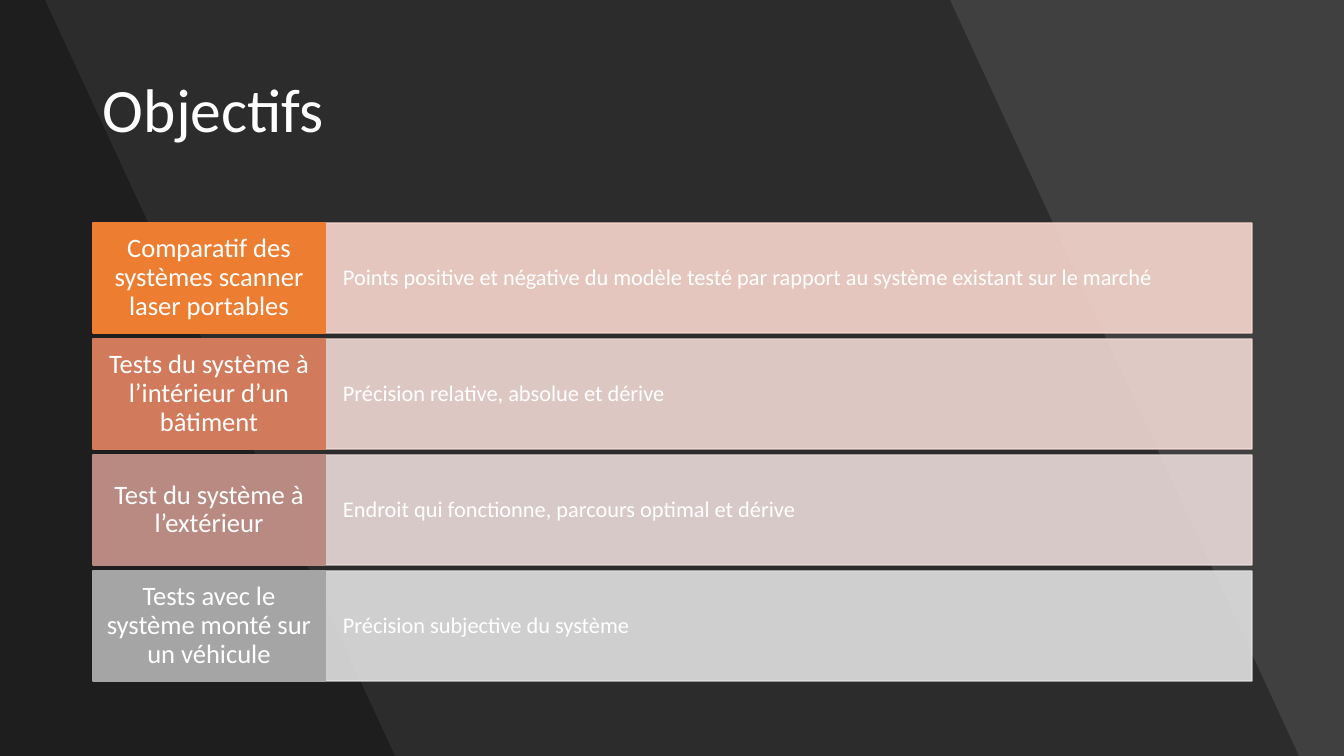
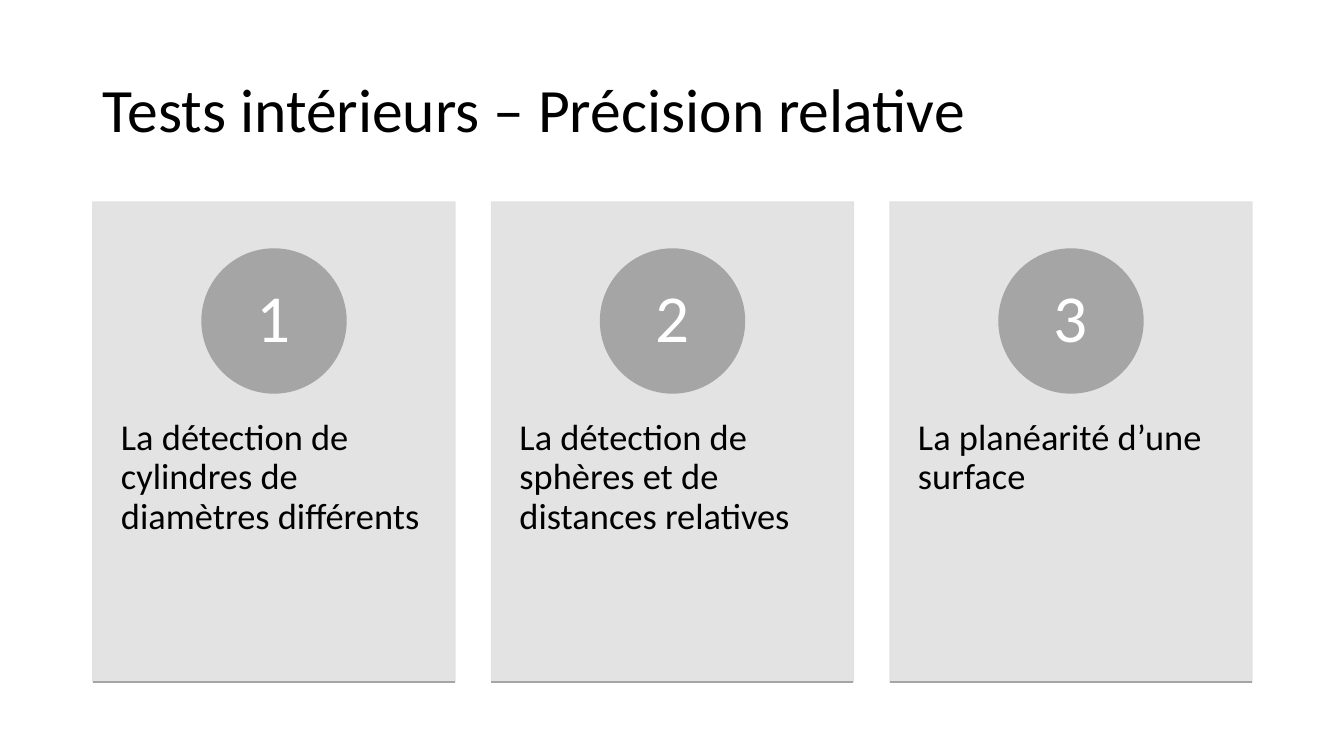
from pptx import Presentation
from pptx.dml.color import RGBColor
from pptx.enum.shapes import MSO_CONNECTOR, MSO_SHAPE
from pptx.enum.text import MSO_ANCHOR, PP_ALIGN
from pptx.oxml.ns import qn
from pptx.util import Pt
from lxml import etree

RECT, OVAL = MSO_SHAPE.RECTANGLE, MSO_SHAPE.OVAL
LEFT, CENTER = PP_ALIGN.LEFT, PP_ALIGN.CENTER
TOP, MIDDLE = MSO_ANCHOR.TOP, MSO_ANCHOR.MIDDLE
STRAIGHT = MSO_CONNECTOR.STRAIGHT

SLIDE_W, SLIDE_H = 1344, 756
PX = 12192000 / SLIDE_W
FONT = "Calibri"
COLORS = {
    "white": "FFFFFF",
    "black": "000000",
    "charcoal": "404040",
    "gray": "A5A5A5",
    "light_gray": "E1E1E1",
    "orange": "ED7D31",
    "light_orange": "F8D7CE",
    "terracotta": "D17B5C",
    "light_terracotta": "F1D8D4",
    "rose": "B98A82",
    "light_rose": "E9DBDA",
}
MARGIN = 93
CONTENT_W = 1159


def paint(shape, color, opacity=100, outlined=True):
    rgb = RGBColor.from_string(COLORS[color])
    shape.shadow.inherit = False
    shape.fill.solid()
    shape.fill.fore_color.rgb = rgb
    if outlined:
        shape.line.color.rgb = rgb
        shape.line.width = Pt(1)
    else:
        shape.line.fill.background()
    if opacity < 100:
        for tint in shape._element.spPr.iter(qn("a:srgbClr")):
            etree.SubElement(tint, qn("a:alpha"), val=str(opacity * 1000))


def write(shape, text, size, color, insets, align=LEFT, anchor=MIDDLE):
    frame = shape.text_frame
    frame.word_wrap = True
    frame.vertical_anchor = anchor
    side, top, bottom = (round(inset * PX) for inset in insets)
    frame.margin_left = frame.margin_right = side
    frame.margin_top, frame.margin_bottom = top, bottom
    paragraph = frame.paragraphs[0]
    paragraph.text = text
    paragraph.alignment = align
    paragraph.line_spacing = 0.9
    font = paragraph.runs[0].font
    font.name = FONT
    font.size = Pt(size)
    font.color.rgb = RGBColor.from_string(COLORS[color])


prs = Presentation()
prs.slide_width = round(SLIDE_W * PX)
prs.slide_height = round(SLIDE_H * PX)

slides = []
for heading, background, ink in [
    ("Objectifs", "charcoal", "white"),
    ("Tests intérieurs – Précision relative", "white", "black"),
]:
    slide = prs.slides.add_slide(prs.slide_layouts[6])
    slide.background.fill.solid()
    slide.background.fill.fore_color.rgb = RGBColor.from_string(COLORS[background])
    if background == "charcoal":
        for top_edge, bottom_edge in [(950, 1299), (45, 395)]:
            outline = slide.shapes.build_freeform(0, 0, scale=PX)
            outline.add_line_segments(
                [(top_edge, 0), (bottom_edge, SLIDE_H), (0, SLIDE_H)], close=True
            )
            paint(outline.convert_to_shape(), "black", 30, outlined=False)
    box = [round(v * PX) for v in (MARGIN, 40, CONTENT_W, 146)]
    write(slide.shapes.add_textbox(*box), heading, 44, ink, (10, 5, 5))
    slides.append(slide)
objectives, indoor_tests = slides

GOALS = [
    ("Comparatif des systèmes scanner laser portables",
     "Points positive et négative du modèle testé par rapport au système existant sur le marché",
     "orange", "light_orange"),
    ("Tests du système à l’intérieur d’un bâtiment",
     "Précision relative, absolue et dérive",
     "terracotta", "light_terracotta"),
    ("Test du système à l’extérieur",
     "Endroit qui fonctionne, parcours optimal et dérive",
     "rose", "light_rose"),
    ("Tests avec le système monté sur un véhicule",
     "Précision subjective du système",
     "gray", "light_gray"),
]
ROW_TOP, ROW_H, ROW_STEP = 223, 110, 116
GOAL_W = 232

for i, (goal, detail, strong, pale) in enumerate(GOALS):
    y = ROW_TOP + i * ROW_STEP
    box = [round(v * PX) for v in (MARGIN + GOAL_W, y, CONTENT_W - GOAL_W, ROW_H)]
    detail_bar = objectives.shapes.add_shape(RECT, *box)
    paint(detail_bar, pale, 90)
    write(detail_bar, detail, 16, "white", (18, 28, 28))
    box = [round(v * PX) for v in (MARGIN, y, GOAL_W, ROW_H)]
    goal_label = objectives.shapes.add_shape(RECT, *box)
    paint(goal_label, strong)
    write(goal_label, goal, 19, "white", (12, 11, 11), CENTER)

TESTS = [
    "La détection de cylindres de diamètres différents",
    "La détection de sphères et de distances relatives",
    "La planéarité d’une surface",
]
CARD_TOP, CARD_W, CARD_H = 202, 362, 480
CARD_STEP = (CONTENT_W - CARD_W) / (len(TESTS) - 1)
BADGE_TOP, BADGE = 249, 144

for i, test in enumerate(TESTS):
    x = MARGIN + i * CARD_STEP
    box = [round(v * PX) for v in (x, CARD_TOP, CARD_W, CARD_H)]
    card = indoor_tests.shapes.add_shape(RECT, *box)
    paint(card, "light_gray", 90)
    write(card, test, 26, "black", (28, 217, 46), anchor=TOP)
    box = [round(v * PX) for v in (x + (CARD_W - BADGE) / 2, BADGE_TOP, BADGE, BADGE)]
    badge = indoor_tests.shapes.add_shape(OVAL, *box)
    paint(badge, "gray")
    write(badge, str(i + 1), 48, "white", (11, 1, 1), CENTER)
    base = CARD_TOP + CARD_H
    ends = [round(v * PX) for v in (x, base, x + CARD_W, base)]
    baseline = indoor_tests.shapes.add_connector(STRAIGHT, *ends)
    baseline.line.color.rgb = RGBColor.from_string(COLORS["gray"])
    baseline.line.width = Pt(1)
    etree.SubElement(baseline._element.spPr, qn("a:effectLst"))

prs.save("out.pptx")
